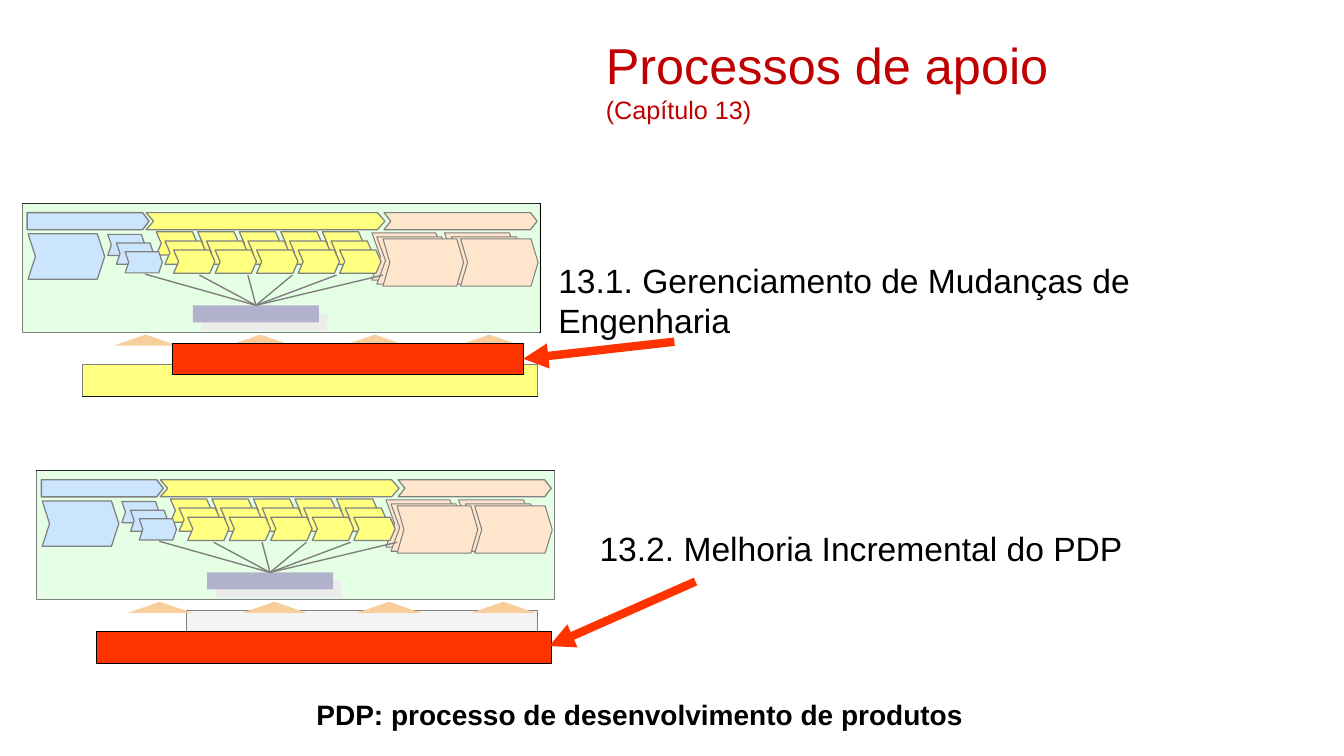
import lxml.etree
import pptx
import pptx.dml.color
import pptx.enum.shapes
import pptx.enum.text
import pptx.oxml.ns
import pptx.util

Pt = pptx.util.Pt
RGBColor = pptx.dml.color.RGBColor
SHAPES = pptx.enum.shapes.MSO_SHAPE
STRAIGHT = pptx.enum.shapes.MSO_CONNECTOR.STRAIGHT
qn = pptx.oxml.ns.qn

BLACK = RGBColor(0x00, 0x00, 0x00)
WHITE = RGBColor(0xFF, 0xFF, 0xFF)
DARK_RED = RGBColor(0xC0, 0x00, 0x00)
RED = RGBColor(0xFF, 0x33, 0x00)
YELLOW = RGBColor(0xFF, 0xFF, 0x00)
PEACH = RGBColor(0xFF, 0xCC, 0x99)
ORANGE = RGBColor(0xF0, 0x9D, 0x3A)
BLUE = RGBColor(0x99, 0xCC, 0xFF)
GREEN = RGBColor(0xCC, 0xFF, 0xCC)
PURPLE = RGBColor(0x66, 0x66, 0x99)
GRAY = RGBColor(0xEA, 0xEA, 0xEA)


def add_text(frame, text, size, color=BLACK, bold=False, wrap=True):
    """Fill the first paragraph of the frame, or append one if it is taken."""
    frame.word_wrap = wrap
    frame.auto_size = pptx.enum.text.MSO_AUTO_SIZE.NONE
    frame.vertical_anchor = pptx.enum.text.MSO_ANCHOR.TOP
    paragraph = frame.paragraphs[0] if not frame.text else frame.add_paragraph()
    paragraph.alignment = pptx.enum.text.PP_ALIGN.LEFT
    paragraph.space_before = Pt(0)
    run = paragraph.add_run()
    run.text = text
    run.font.name = "Arial"
    run.font.size = Pt(size)
    run.font.bold = bold
    run.font.color.rgb = color


def draw_shape(group, kind, left, top, width, height, fill, line_width=0.75, adjustment=None):
    shape = group.shapes.add_shape(kind, Pt(left), Pt(top), Pt(width), Pt(height))
    shape.shadow.inherit = False
    shape.fill.solid()
    shape.fill.fore_color.rgb = fill
    if line_width:
        shape.line.color.rgb = BLACK
        shape.line.width = Pt(line_width)
    else:
        shape.line.fill.background()
    if adjustment is not None:
        shape.adjustments[0] = adjustment
    return shape


presentation = pptx.Presentation()
presentation.slide_width = Pt(960)
presentation.slide_height = Pt(540)
slide = presentation.slides.add_slide(presentation.slide_layouts[5])

title = slide.shapes.title
title.left, title.top, title.width, title.height = Pt(425.5), Pt(20.9), Pt(413.3), Pt(72.7)
add_text(title.text_frame, "Processos de apoio", size=36, color=DARK_RED)
add_text(title.text_frame, "(Capítulo 13)", size=18, color=DARK_RED)

# Shapes of the process model, relative to the top left corner of its frame:
# kind, left, top, width, height, fill, line width, adjustment
process_shapes = [
    (SHAPES.CHEVRON, 88.6, 6.5, 170.6, 12.2, YELLOW, 0.88, 0.438),
    (SHAPES.CHEVRON, 258.5, 6.5, 109.4, 12.2, PEACH, 0.88, 0.395),
    (SHAPES.PENTAGON, 3.6, 6.5, 87.1, 12.2, BLUE, 1, 0.381),
    (SHAPES.CHEVRON, 4.3, 21.6, 54.7, 32.4, BLUE, 0.88, 0.161),
    (SHAPES.CHEVRON, 249.8, 20.9, 51.8, 33.8, PEACH, 0.75, 0.182),
    (SHAPES.CHEVRON, 301.7, 20.9, 52.6, 33.8, PEACH, 0.75, 0.185),
    (SHAPES.CHEVRON, 253.4, 23.8, 52.6, 33.8, PEACH, 0.75, 0.184),
    (SHAPES.CHEVRON, 306.7, 23.8, 52.6, 33.8, PEACH, 0.75, 0.184),
    (SHAPES.CHEVRON, 313.2, 25.2, 55.4, 33.8, PEACH, 0.75, 0.15),
    (SHAPES.CHEVRON, 257.8, 25.2, 57.6, 33.8, PEACH, 0.75, 0.145),
]
for row in range(3):
    for column in range(5):
        process_shapes.append((SHAPES.CHEVRON, 95.8 + 29.66 * column + 6.2 * row,
                               20.2 + 6.5 * row, 29.5, 16.6, YELLOW, 0.88, 0.218))
for step in range(3):
    process_shapes.append((SHAPES.CHEVRON, 61.2 + 6.2 * step, 22 + 6.2 * step,
                           26.6, 15.1, BLUE, 0.88, 0.169))

spoke_ends = [(126.7, 51.1), (161.3, 51.1), (193, 51.1), (224.6, 51.1), (257.8, 51.1), (87.8, 50.4)]
change_bar = (107.3, 100.1, 250.6, 22.3)
improvement_bar = (43.2, 115.2, 324.7, 22.3)

# Frame left and top, veil offset, bar behind the veil with its fill, highlighted bar
diagrams = [
    (25.9, 336.2, -2.9, change_bar, GRAY, improvement_bar),
    (15.8, 145.4, -5.8, improvement_bar, YELLOW, change_bar),
]
lines = []

for left, top, veil_offset, back_bar, back_fill, highlighted_bar in diagrams:
    group = slide.shapes.add_group_shape()
    x, y, width, height = back_bar
    draw_shape(group, SHAPES.RECTANGLE, left + x, top + y, width, height, back_fill)
    for index in range(4):
        draw_shape(group, SHAPES.ISOSCELES_TRIANGLE, left + 65.5 + 81.8 * index, top + 93.6,
                   45.7, 7.9, ORANGE, line_width=0)
    draw_shape(group, SHAPES.RECTANGLE, left, top, 370.1, 92.2, GREEN)
    for kind, x, y, *style in process_shapes:
        draw_shape(group, kind, left + x, top + y, *style)

    hub = draw_shape(group, SHAPES.RECTANGLE, left + 122, top + 72.7, 90, 12.2, PURPLE, line_width=0)
    effects = hub._element.spPr.find(qn("a:effectLst"))
    shadow = lxml.etree.SubElement(effects, qn("a:outerShdw"), blurRad="0",
                                   dist=str(Pt(8.5)), dir="2700000", algn="ctr", rotWithShape="0")
    lxml.etree.SubElement(shadow, qn("a:srgbClr"), val="DADADA")

    for x, y in spoke_ends:
        spoke = group.shapes.add_connector(STRAIGHT, Pt(left + 167), Pt(top + 72.7),
                                           Pt(left + x), Pt(top + y))
        lines.append((spoke, BLACK, 1))

    veil = draw_shape(group, SHAPES.RECTANGLE, left + veil_offset, top, 375.1, 137.5, WHITE, line_width=0)
    veil_color = veil._element.spPr.find(qn("a:solidFill"))[0]
    lxml.etree.SubElement(veil_color, qn("a:alpha"), val="50000")
    x, y, width, height = highlighted_bar
    draw_shape(group, SHAPES.RECTANGLE, left + x, top + y, width, height, RED)

labels = [
    ("13.1. Gerenciamento de Mudanças de Engenharia", 391.7, 182.2, 425.5, 65.5, 24, False, True),
    ("13.2. Melhoria Incremental do PDP", 421.2, 373.7, 460.8, 36, 24, False, True),
    ("PDP: processo de desenvolvimento de produtos", 218.9, 494.6, 486, 31.7, 20, True, False),
]
for text, left, top, width, height, size, bold, wrap in labels:
    box = slide.shapes.add_textbox(Pt(left), Pt(top), Pt(width), Pt(height))
    add_text(box.text_frame, text, size=size, bold=bold, wrap=wrap)

for start_x, start_y, end_x, end_y in [(481.7, 244.1, 373.7, 256.3), (496.8, 415.4, 392.4, 461.5)]:
    arrow = slide.shapes.add_connector(STRAIGHT, Pt(start_x), Pt(start_y), Pt(end_x), Pt(end_y))
    lines.append((arrow, RED, 6))
    arrow.line.color.rgb = RED
    lxml.etree.SubElement(arrow.line._get_or_add_ln(), qn("a:tailEnd"), type="triangle")

for connector, color, width in lines:
    connector.line.color.rgb = color
    connector.line.width = Pt(width)
    lxml.etree.SubElement(connector._element.spPr, qn("a:effectLst"))

presentation.save("out.pptx")
